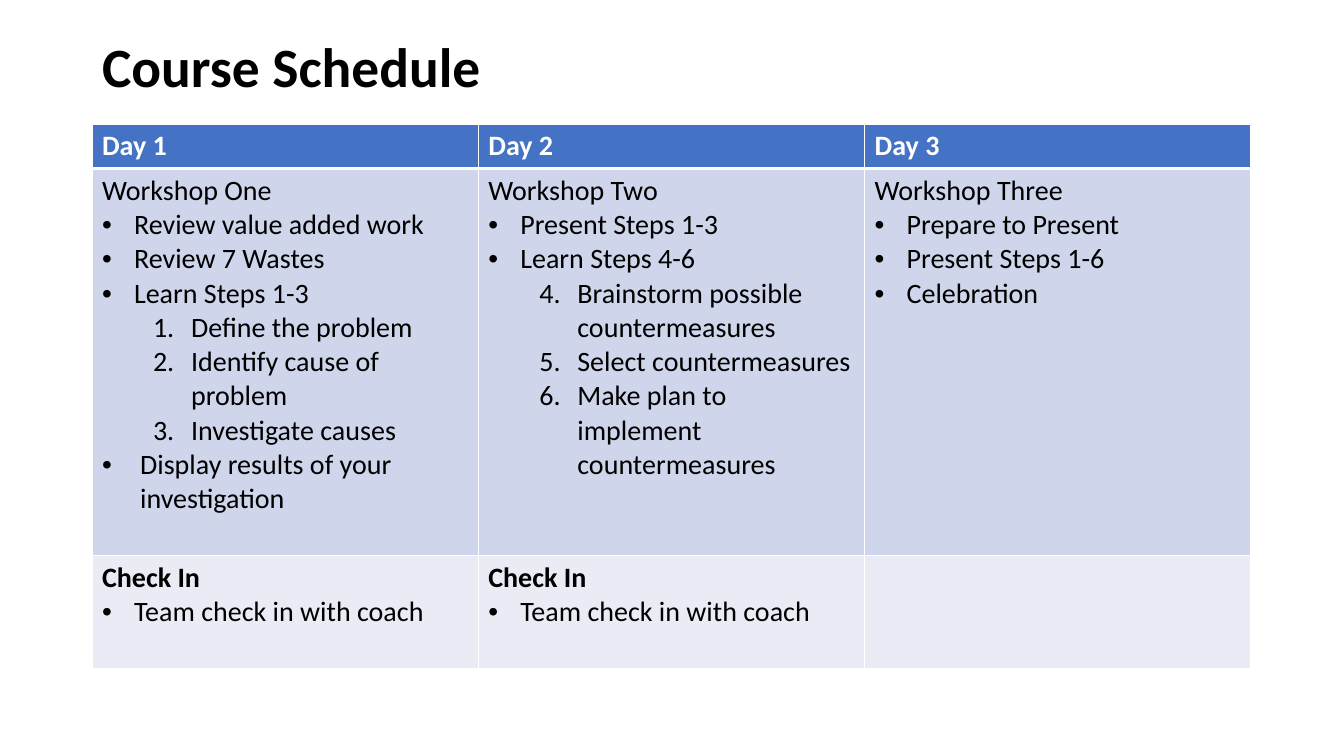
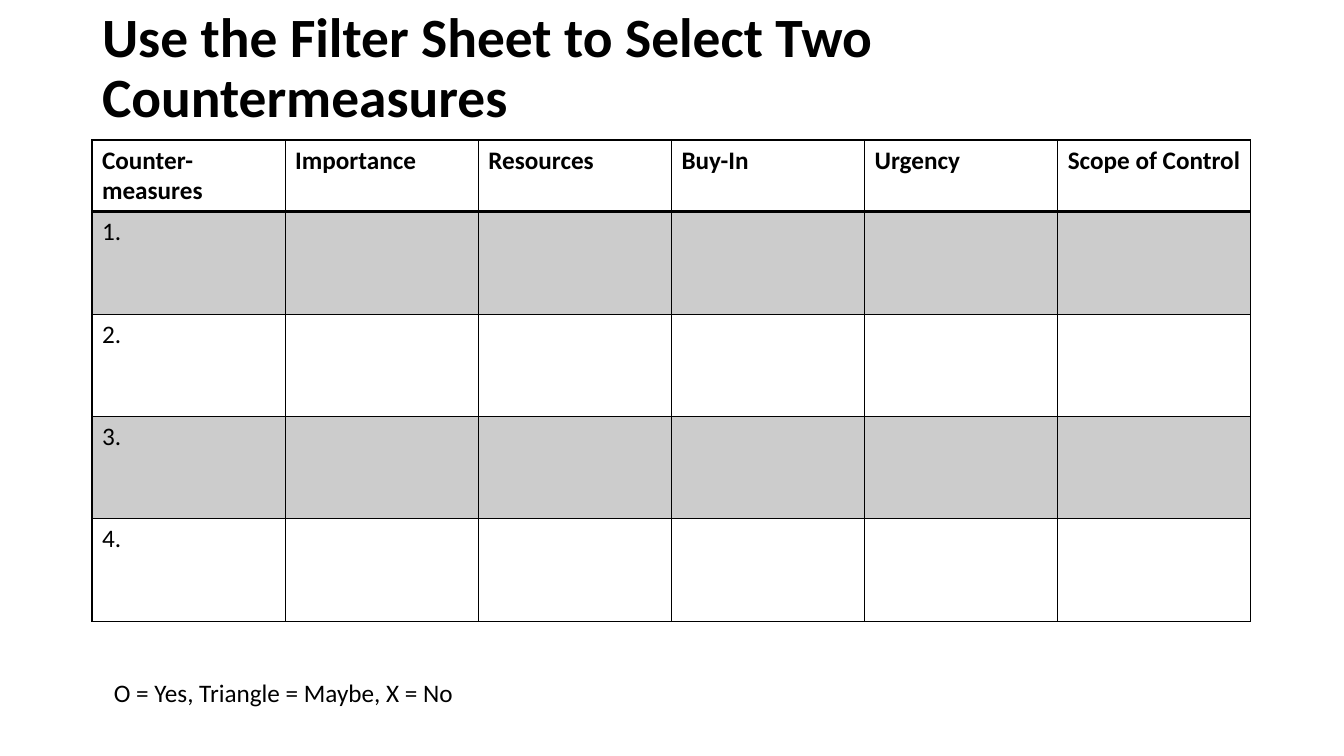
from dataclasses import dataclass
from typing import NamedTuple

from lxml.etree import SubElement
from pptx import Presentation
from pptx.dml.color import RGBColor as RGB
from pptx.enum.text import MSO_ANCHOR as ANCHOR, MSO_AUTO_SIZE as AUTO, PP_ALIGN as ALIGN
from pptx.oxml.ns import qn
from pptx.presentation import Presentation as Deck
from pptx.slide import Slide
from pptx.util import Emu, Pt

# Shared style
FONT = "Calibri"
COLORS = {
    "text": "000000",
    "white": "FFFFFF",
    "header": "4472C4",
    "band": "CFD5EA",
    "pale": "E9EBF5",
    "gray": "CCCCCC",
}
LEFT, WIDTH = 92, 1159
TITLE_ONLY = 5


def px(n: int) -> Emu:
    """Pixels at 100.8 to the inch."""
    return Emu(round(n * 914400 / 100.8))


def rgb(name: str) -> RGB:
    return RGB.from_string(COLORS[name])


class Para(NamedTuple):
    text: str
    bold: bool = False
    bullet: str = ""  # "•", "1." or none
    margin: int = 0
    hang: int = 0
    start: int = 1


def bullet(text: str, indent: int = 32) -> Para:
    return Para(text, bullet="•", margin=indent, hang=indent)


def step(text: str, start: int = 1) -> Para:
    return Para(text, bullet="1.", margin=89, hang=38, start=start)


@dataclass
class Grid:
    top: int
    heights: list[int]
    rows: list[list[list[Para]]]
    fills: list[str]  # one per row, "" for none
    size: int
    header_color: str
    border: str
    header_rule: int  # points


def add_run(p, text: str, size: float, bold: bool = False, color: str = "text") -> None:
    r = p.add_run()
    r.text = text
    f = r.font
    f.name, f.size, f.bold = FONT, Pt(size), bold
    f.color.rgb = rgb(color)


def set_bullet(p, para: Para) -> None:
    pPr = p._p.get_or_add_pPr()
    pPr.set("marL", str(px(para.margin)))
    pPr.set("indent", str(-px(para.hang)))
    if para.bullet == "•":
        SubElement(pPr, qn("a:buFont"), typeface="Arial")
        SubElement(pPr, qn("a:buChar"), char=para.bullet)
    else:
        p.level = 1
        num = SubElement(pPr, qn("a:buAutoNum"), type="arabicPeriod")
        if para.start > 1:
            num.set("startAt", str(para.start))


def fill_cell(cell, paras: list[Para], size: int, color: str) -> None:
    tf = cell.text_frame
    for i, para in enumerate(paras):
        p = tf.add_paragraph() if i else tf.paragraphs[0]
        if para.bullet:
            set_bullet(p, para)
        add_run(p, para.text, size, para.bold, color)


def set_borders(cell, color: str, top: int, bottom: int) -> None:
    tcPr = cell._tc.get_or_add_tcPr()
    for side, width in (("L", 1), ("R", 1), ("T", top), ("B", bottom)):
        ln = SubElement(tcPr, qn(f"a:ln{side}"), w=str(Pt(width)))
        solid = SubElement(ln, qn("a:solidFill"))
        SubElement(solid, qn("a:srgbClr"), val=COLORS[color])


def add_grid(s: Slide, grid: Grid) -> None:
    n_cols = len(grid.rows[0])
    table = s.shapes.add_table(len(grid.rows), n_cols, px(LEFT), px(grid.top),
                               px(WIDTH), px(sum(grid.heights))).table
    table.first_row = table.horz_banding = False
    for col in table.columns:
        col.width = Emu(px(WIDTH) // n_cols)
    for i, (height, row, fill) in enumerate(zip(grid.heights, grid.rows, grid.fills)):
        table.rows[i].height = px(height)
        for j, paras in enumerate(row):
            cell = table.cell(i, j)
            set_borders(cell, grid.border,
                        top=grid.header_rule if i == 1 else 1,
                        bottom=grid.header_rule if i == 0 else 1)
            if fill:
                cell.fill.solid()
                cell.fill.fore_color.rgb = rgb(fill)
            else:
                cell.fill.background()
            fill_cell(cell, paras, grid.size, "text" if i else grid.header_color)


def add_titled_slide(prs: Deck, title: str) -> Slide:
    s = prs.slides.add_slide(prs.slide_layouts[TITLE_ONLY])
    sp = s.shapes.title
    sp.left, sp.top, sp.width, sp.height = px(LEFT), px(40), px(WIDTH), px(59)
    tf = sp.text_frame
    tf.word_wrap, tf.auto_size, tf.vertical_anchor = True, AUTO.NONE, ANCHOR.MIDDLE
    p = tf.paragraphs[0]
    p.alignment, p.line_spacing = ALIGN.LEFT, 0.9
    add_run(p, title, 39.6, bold=True)
    return s


def header(*labels: str) -> list[list[Para]]:
    return [[Para(label, bold=True)] for label in labels]


def build_schedule(prs: Deck) -> None:
    s = add_titled_slide(prs, "Course Schedule")
    check_in = [Para("Check In", bold=True), bullet("Team check in with coach")]
    workshops = [
        [
            Para("Workshop One"),
            bullet("Review value added work"),
            bullet("Review 7 Wastes"),
            bullet("Learn Steps 1-3"),
            step("Define the problem"),
            step("Identify cause of problem"),
            step("Investigate causes"),
            bullet("Display results of your investigation", 38),
        ],
        [
            Para("Workshop Two"),
            bullet("Present Steps 1-3"),
            bullet("Learn Steps 4-6"),
            step("Brainstorm possible countermeasures", 4),
            step("Select countermeasures", 4),
            step("Make plan to implement countermeasures", 4),
        ],
        [
            Para("Workshop Three"),
            bullet("Prepare to Present"),
            bullet("Present Steps 1-6"),
            bullet("Celebration"),
        ],
    ]
    add_grid(s, Grid(
        top=124, heights=[44, 387, 113],
        rows=[header("Day 1", "Day 2", "Day 3"), workshops, [check_in, check_in, []]],
        fills=["header", "band", "pale"],
        size=20, header_color="white", border="white", header_rule=3))


def build_filter_sheet(prs: Deck) -> None:
    s = add_titled_slide(prs, "Use the Filter Sheet to Select Two Countermeasures")
    criteria = header("Counter-measures", "Importance", "Resources", "Buy-In",
                      "Urgency", "Scope of Control")
    blanks = [[] for _ in criteria[1:]]
    entries = [[[Para(f"{n}.")], *blanks] for n in range(1, 5)]
    add_grid(s, Grid(
        top=140, heights=[71, 103, 102, 102, 103],
        rows=[criteria, *entries],
        fills=["", "gray", "", "gray", ""],
        size=18, header_color="text", border="text", header_rule=2))

    # Key to the marks
    tf = s.shapes.add_textbox(px(104), px(672), px(364), px(40)).text_frame
    tf.word_wrap, tf.auto_size = False, AUTO.SHAPE_TO_FIT_TEXT
    add_run(tf.paragraphs[0], "O = Yes, Triangle = Maybe, X = No", 18)


def main() -> None:
    prs = Presentation()
    prs.slide_width, prs.slide_height = px(1344), px(756)
    build_schedule(prs)
    build_filter_sheet(prs)
    prs.save("out.pptx")


if __name__ == "__main__":
    main()
